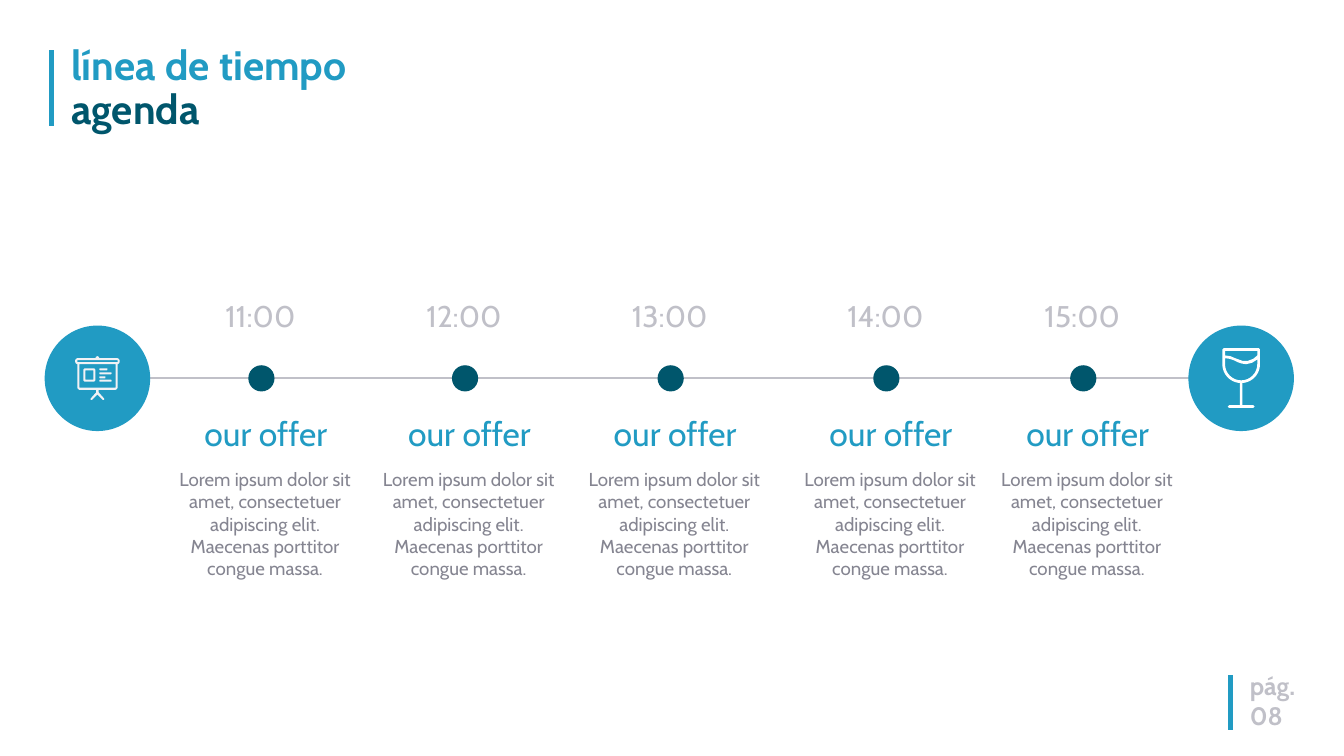
from math import cos, radians, sin

from lxml import etree
from pptx import Presentation
from pptx.dml.color import RGBColor
from pptx.enum import shapes, text
from pptx.oxml import ns
from pptx.util import Inches, Pt

BLUE = RGBColor(0x21, 0x9B, 0xC3)
TEAL = RGBColor(0x00, 0x56, 0x6C)
SILVER = RGBColor(0xC0, 0xC0, 0xC8)
GREY = RGBColor(0x85, 0x85, 0x91)
WHITE = RGBColor(0xFF, 0xFF, 0xFF)
PALE = RGBColor(0xF2, 0xF2, 0xF5)
FONT = "Cabin"

TITLE = ["línea de tiempo", "agenda"]
PAGE = ["pág.", "08"]
OFFER = "our offer"
DETAIL = ("Lorem ipsum dolor sit amet, consectetuer adipiscing elit. "
          "Maecenas porttitor congue massa.")
STOPS = [("11:00", 3.89), ("12:00", 6.92), ("13:00", 9.98),
         ("14:00", 13.19), ("15:00", 16.12)]  # time, centre of the dot

AXIS_Y = 5.63
SCREEN_X, GLASS_X = 1.45, 18.47


def add_line(slide, start, end, color, width):
    line = slide.shapes.add_connector(
        shapes.MSO_CONNECTOR.STRAIGHT, *map(Inches, start + end))
    line.line.color.rgb = color
    line.line.width = Pt(width)
    etree.SubElement(line._element.spPr, ns.qn("a:effectLst"))


def paint(shape, color):
    shape.shadow.inherit = False
    shape.fill.solid()
    shape.fill.fore_color.rgb = color
    shape.line.fill.background()


def add_disc(slide, x, size, color):
    """Circle centred on the time axis."""
    disc = slide.shapes.add_shape(
        shapes.MSO_SHAPE.OVAL, Inches(x - size / 2), Inches(AXIS_Y - size / 2),
        Inches(size), Inches(size))
    paint(disc, color)


def add_text(slide, area, words, size, color, align=text.PP_ALIGN.LEFT, bold=False):
    box = slide.shapes.add_textbox(*map(Inches, area))
    frame = box.text_frame
    frame.word_wrap = True
    frame.auto_size = text.MSO_AUTO_SIZE.SHAPE_TO_FIT_TEXT
    frame.text = words
    for para in frame.paragraphs:
        para.alignment = align
        for span in para.runs:
            span.font.name = FONT
            span.font.size = Pt(size)
            span.font.bold = bold
            span.font.color.rgb = color
    return frame


def arc(x, y, radius, start, end, steps=16):
    """Points on a circle; degrees run clockwise from the right."""
    angles = [radians(start + (end - start) * i / steps) for i in range(steps + 1)]
    return [(x + radius * cos(a), y + radius * sin(a)) for a in angles]


def rounded(left, top, right, bottom, radius=0.0):
    if not radius:
        return [(left, top), (right, top), (right, bottom), (left, bottom)]
    corners = [(right - radius, bottom - radius), (left + radius, bottom - radius),
               (left + radius, top + radius), (right - radius, top + radius)]
    return [point for i, (x, y) in enumerate(corners)
            for point in arc(x, y, radius, 90 * i, 90 * i + 90, 4)]


def mirrored(half, x):
    """Closed outline from its right half, given as offsets from x."""
    return ([(x + dx, y) for dx, y in half]
            + [(x - dx, y) for dx, y in reversed(half)])


def add_icon(slide, contours, color):
    """One shape from several contours; inner ones become holes."""
    contours = [[(Inches(x), Inches(y)) for x, y in c] for c in contours]
    builder = slide.shapes.build_freeform(*contours[0][0], scale=1.0)
    builder.add_line_segments(contours[0][1:], close=True)
    for contour in contours[1:]:
        builder.move_to(*contour[0])
        builder.add_line_segments(contour[1:], close=True)
    paint(builder.convert_to_shape(), color)


def glass_contours():
    outline = ([(0, 5.18), (0.26, 5.18), (0.28, 5.2)]
               + arc(0, 5.42, 0.28, 0, 86)
               + [(0.02, 6.03), (0.18, 6.03), (0.2, 6.05), (0.18, 6.07)])
    wine = ([(18.23, 5.33), (18.3, 5.34), (18.36, 5.36), (18.42, 5.39),
             (18.48, 5.41), (18.54, 5.42), (18.63, 5.4), (18.71, 5.35)]
            + arc(GLASS_X, 5.42, 0.24, 0, 180))
    air = [(18.23, 5.22), (18.71, 5.22), (18.71, 5.29), (18.65, 5.34),
           (18.57, 5.37), (18.49, 5.37), (18.38, 5.33), (18.31, 5.3), (18.23, 5.29)]
    return [mirrored(outline, GLASS_X), wine, air]


def screen_contours():
    outline = [(0.03, 5.33), (0.02, 5.31), (0, 5.3)][::-1] + [
        (0.3, 5.33), (0.32, 5.34), (0.33, 5.36), (0.33, 5.39), (0.32, 5.41),
        (0.3, 5.42), (0.3, 5.77), (0.29, 5.79), (0.27, 5.8), (0.02, 5.8),
        (0.02, 5.84), (0.1, 5.93), (0.1, 5.95), (0.08, 5.95), (0, 5.87)]
    bars = [(5.48, 1.6), (5.54, 1.66), (5.6, 1.57), (5.65, 1.66)]  # top, right end
    return [mirrored(outline, SCREEN_X),
            rounded(1.15, 5.36, 1.75, 5.39),
            rounded(1.18, 5.42, 1.72, 5.77),
            rounded(1.24, 5.48, 1.42, 5.68, 0.03),
            rounded(1.27, 5.51, 1.39, 5.65),
            *[rounded(1.48, top, right, top + 0.03, 0.01) for top, right in bars]]


def main():
    deck = Presentation()
    deck.slide_width, deck.slide_height = Inches(20), Inches(11.25)
    slide = deck.slides.add_slide(deck.slide_layouts[6])

    add_line(slide, (18.31, 10.05), (18.31, 10.86), BLUE, 5)
    add_line(slide, (0.77, 0.75), (0.77, 1.88), BLUE, 5)
    add_line(slide, (18.17, AXIS_Y), (1.56, AXIS_Y), SILVER, 2)

    title = add_text(slide, (0.96, 0.62, 5.96, 1.45), "\v".join(TITLE), 44, BLUE, bold=True)
    title.paragraphs[0].line_spacing = 0.9
    title.paragraphs[0].runs[1].font.color.rgb = TEAL

    for x, contours, color in [(GLASS_X, glass_contours(), WHITE),
                               (SCREEN_X, screen_contours(), PALE)]:
        add_disc(slide, x, 1.57, BLUE)
        add_icon(slide, contours, color)

    center = text.PP_ALIGN.CENTER
    for time, x in STOPS:
        add_disc(slide, x, 0.39, TEAL)
        add_text(slide, (x - 2.03, 6.1, 4.19, 0.7), OFFER, 36, BLUE, center)
        add_text(slide, (x - 0.82, 4.38, 1.61, 0.64), time, 32, SILVER, center)
        add_text(slide, (x - 1.38, 6.91, 2.87, 2.1), DETAIL, 20, GREY, center)

    add_text(slide, (18.5, 9.92, 1.9, 1.06), "\n".join(PAGE), 27, SILVER, bold=True)
    deck.save("out.pptx")


if __name__ == "__main__":
    main()
